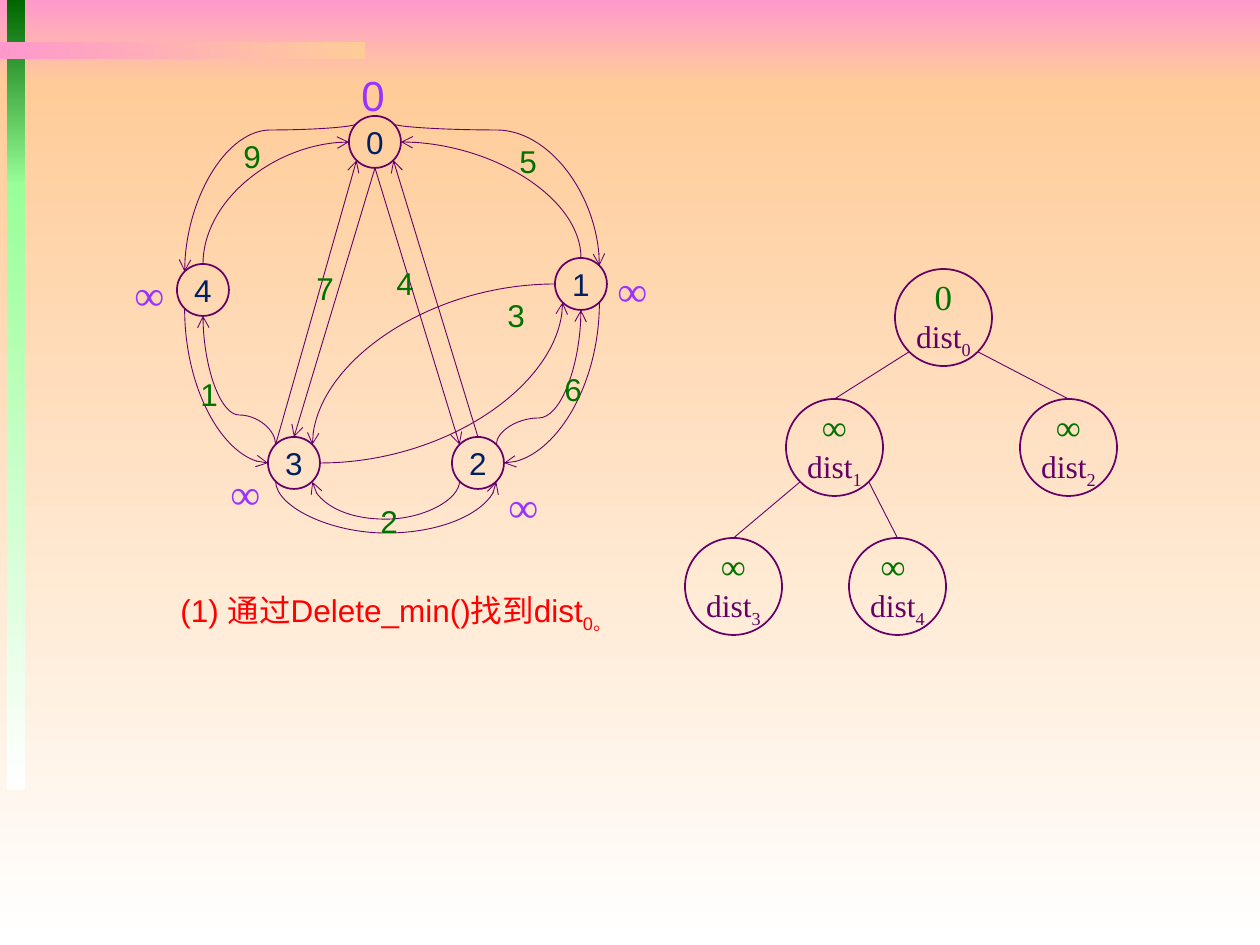
from collections import namedtuple
from dataclasses import dataclass
from math import cos, pi, sin

from lxml.etree import SubElement
from pptx import Presentation
from pptx.dml.color import RGBColor
from pptx.enum.shapes import MSO_CONNECTOR, MSO_SHAPE
from pptx.enum.text import MSO_ANCHOR, MSO_AUTO_SIZE, PP_ALIGN
from pptx.oxml.ns import qn
from pptx.util import Emu, Pt

Box = namedtuple("Box", "left top width height")


@dataclass(frozen=True)
class Theme:
    """Colours, fonts and type sizes of the slide."""
    pink: str = "FF99CC"
    peach: str = "FFCC99"
    white: str = "FFFFFF"
    forest: str = "006600"
    mint: str = "99FF99"
    outline: str = "660066"
    vertex: str = "002060"
    weight: str = "007200"
    distance: str = "9933FF"
    caption: str = "FF0000"
    sans: str = "Arial"
    serif: str = "Times New Roman"
    body: int = 18
    key: int = 20
    large: int = 24


THEME = Theme()


def px(length):
    """Turn pixels into EMU."""
    return Emu(round(length * 914400 / 126))


def inside(box, left, top, width, height):
    """Place a part relative to its region."""
    return Box(box.left + left, box.top + top, width, height)


def style(span, font, size, color, subscript=False):
    """Format one run of text."""
    span.font.name = font
    span.font.size = Pt(size)
    span.font.color.rgb = RGBColor.from_string(color)
    if subscript:
        span.font._element.set("baseline", "-25000")


def add_band(page, box, start, end, angle):
    """Add a rectangle with a two-colour gradient."""
    band = page.shapes.add_shape(MSO_SHAPE.RECTANGLE, *map(px, box))
    band.shadow.inherit = False
    band.line.fill.background()
    band.fill.gradient()
    band.fill.gradient_angle = angle
    for stop, color, position in zip(band.fill.gradient_stops, (start, end), (0, 1)):
        stop.color.rgb = RGBColor.from_string(color)
        stop.position = position


def add_circle(page, box):
    """Add an outlined circle with centred text."""
    circle = page.shapes.add_shape(MSO_SHAPE.OVAL, *map(px, box))
    circle.shadow.inherit = False
    circle.fill.background()
    circle.line.color.rgb = RGBColor.from_string(THEME.outline)
    circle.line.width = Pt(1)
    frame = circle.text_frame
    frame.vertical_anchor = MSO_ANCHOR.MIDDLE
    frame.paragraphs[0].alignment = PP_ALIGN.CENTER
    return circle


def add_label(page, box, text, font, size, color, wrap=False):
    """Add a text box and return its paragraph."""
    frame = page.shapes.add_textbox(*map(px, box)).text_frame
    frame.word_wrap = wrap
    frame.auto_size = MSO_AUTO_SIZE.SHAPE_TO_FIT_TEXT
    frame.text = text
    para = frame.paragraphs[0]
    style(para.runs[0], font, size, color)
    return para


def site_point(circle, site):
    """Find one of eight connection sites, counted anticlockwise from the top."""
    radius = circle.width / 2
    angle = site * pi / 4
    return (round(circle.left + radius - radius * sin(angle)),
            round(circle.top + radius - radius * cos(angle)))


def bend(line, start, end, level):
    """Shape a curve that leaves its start vertically, by way of a level if given."""
    across = end[0] - start[0]
    down = end[1] - start[1]
    if abs(down) < px(1):
        down = px(1)
    width, height = abs(down), abs(across)
    properties = line._element.spPr
    frame = properties.find(qn("a:xfrm"))
    for flip in ("flipH", "flipV"):
        frame.attrib.pop(flip, None)
    frame.set("rot", str((90 if down > 0 else 270) * 60000))
    if across * down > 0:
        frame.set("flipV", "1")
    line.left = Emu((start[0] + end[0] - width) // 2)
    line.top = Emu((start[1] + end[1] - height) // 2)
    line.width, line.height = Emu(width), Emu(height)
    geometry = properties.find(qn("a:prstGeom"))
    if level is None:
        geometry.set("prst", "curvedConnector2")
    else:
        ratio = round((px(level) - start[1]) / down * 100000)
        SubElement(geometry.find(qn("a:avLst")), qn("a:gd"), name="adj1", fmla=f"val {ratio}")


def add_edge(page, source, source_site, target, target_site, arrow=None, curved=False, level=None):
    """Join two circles at their connection sites."""
    start, end = site_point(source, source_site), site_point(target, target_site)
    kind = MSO_CONNECTOR.CURVE if curved else MSO_CONNECTOR.STRAIGHT
    line = page.shapes.add_connector(kind, *start, *end)
    if curved:
        bend(line, start, end, level)
    line.line.color.rgb = RGBColor.from_string(THEME.outline)
    line.line.width = Pt(0.5)
    if arrow:
        SubElement(line.line._get_or_add_ln(), qn(f"a:{arrow}"), type="arrow")
    SubElement(line._element.spPr, qn("a:effectLst"))
    links = line._element.nvCxnSpPr.cNvCxnSpPr
    for tag, circle, site in (("stCxn", source, source_site), ("endCxn", target, target_site)):
        SubElement(links, qn(f"a:{tag}"), id=str(circle.shape_id), idx=str(site))


def draw_background(page, box):
    """Draw the backdrop and the two decorative bars."""
    down, across = 270, 0
    add_band(page, inside(box, 0, 0, box.width, 84), THEME.pink, THEME.peach, down)
    add_band(page, inside(box, 0, 84, box.width, box.height - 84), THEME.peach, THEME.white, down)
    add_band(page, inside(box, 7, 0, 18, 186), THEME.forest, THEME.mint, down)
    add_band(page, inside(box, 7, 184, 18, 606), THEME.mint, THEME.white, down)
    add_band(page, inside(box, 0, 42, 365, 17), THEME.pink, THEME.peach, across)


def draw_graph(page, box):
    """Draw the weighted graph with its tentative distances."""
    places = {0: (229, 56), 1: (435, 198), 2: (332, 377), 3: (148, 377), 4: (57, 204)}
    nodes = {}
    for number, place in places.items():
        nodes[number] = add_circle(page, inside(box, *place, 52, 52))
        frame = nodes[number].text_frame
        frame.word_wrap = False
        frame.paragraphs[0].text = str(number)
        style(frame.paragraphs[0].runs[0], THEME.sans, THEME.body, THEME.vertex)
    for source, exit_site, target, entry_site in ((0, 4, 2, 1), (0, 4, 3, 0), (3, 1, 0, 3), (2, 0, 0, 5)):
        add_edge(page, nodes[source], exit_site, nodes[target], entry_site, "tailEnd")
    curves = (
        (0, 1, 4, 1, "tailEnd", 70), (0, 7, 1, 7, "tailEnd", 70),
        (3, 3, 2, 5, "tailEnd", 474), (2, 3, 3, 5, "tailEnd", 460),
        (3, 1, 4, 4, "tailEnd", 355), (2, 7, 1, 4, "tailEnd", 358),
        (4, 3, 3, 2, "tailEnd", None), (1, 5, 2, 6, "tailEnd", None),
        (4, 0, 0, 2, "tailEnd", None), (1, 0, 0, 6, "tailEnd", None),
        (3, 7, 1, 2, "headEnd", None), (1, 3, 3, 6, "headEnd", None),
    )
    for source, exit_site, target, entry_site, arrow, level in curves:
        height = None if level is None else box.top + level
        add_edge(page, nodes[source], exit_site, nodes[target], entry_site, arrow, True, height)
    weights = {"9": (111, 71), "5": (387, 76), "4": (264, 198), "7": (184, 203),
               "1": (68, 309), "2": (248, 436), "3": (375, 230), "6": (432, 304)}
    for weight, place in weights.items():
        add_label(page, inside(box, *place, 43, 50), weight, THEME.sans, THEME.body, THEME.weight)
    add_label(page, inside(box, 229, 3, 49, 63), "0", THEME.sans, THEME.large, THEME.distance)
    for place in ((485, 198), (376, 414), (98, 401), (2, 202)):
        add_label(page, inside(box, *place, 55, 63), "∞", THEME.serif, THEME.large, THEME.distance)


def draw_heap(page, box):
    """Draw the binary heap of distances."""
    entries = (("0", 210, 0), ("∞", 101, 130), ("∞", 335, 130), ("∞", 0, 269), ("∞ ", 164, 269))
    nodes = []
    for number, (key, left, top) in enumerate(entries):
        circle = add_circle(page, inside(box, left, top, 97, 97))
        frame = circle.text_frame
        frame.margin_left = frame.margin_right = frame.margin_top = frame.margin_bottom = 0
        para = frame.paragraphs[0]
        para.text = f"{key}\vdist"
        para.add_run().text = str(number)
        style(para.runs[0], THEME.serif, THEME.key, THEME.weight)
        style(para.runs[1], THEME.serif, THEME.body, THEME.outline)
        style(para.runs[2], THEME.serif, THEME.body, THEME.outline, subscript=True)
        nodes.append(circle)
    for child in range(1, len(nodes)):
        add_edge(page, nodes[(child - 1) // 2], 3 if child % 2 else 5, nodes[child], 0)


def draw_caption(page, box):
    """Write the step shown on this slide."""
    para = add_label(page, box, "(1) 通过Delete_min()找到dist", THEME.sans, THEME.body, THEME.caption, wrap=True)
    para.add_run().text = "0。"
    style(para.runs[1], THEME.sans, THEME.body, THEME.caption, subscript=True)


def main():
    """Build and save the deck."""
    deck = Presentation()
    deck.slide_width, deck.slide_height = px(1260), px(945)
    page = deck.slides.add_slide(deck.slide_layouts[6])
    draw_background(page, Box(0, 0, 1260, 945))
    draw_graph(page, Box(120, 60, 540, 490))
    draw_heap(page, Box(685, 269, 432, 366))
    draw_caption(page, Box(168, 585, 501, 50))
    deck.save("out.pptx")


if __name__ == "__main__":
    main()
